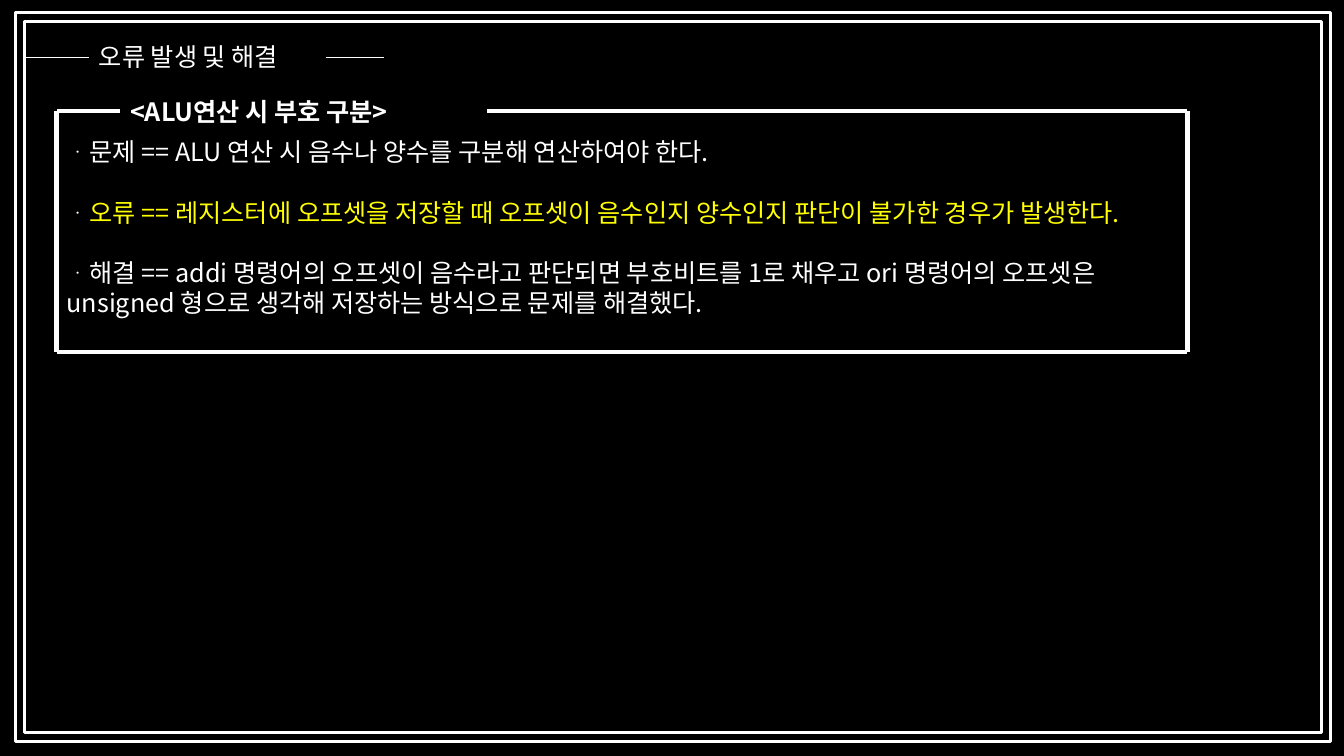
"""Build a dark slide that explains an ALU sign error and its fix."""
from lxml.etree import SubElement
from pptx import Presentation
from pptx.dml.color import RGBColor
from pptx.enum.shapes import MSO_CONNECTOR as Connector, MSO_SHAPE as Shape
from pptx.enum.text import MSO_ANCHOR as Anchor, MSO_AUTO_SIZE as AutoSize, PP_ALIGN as Align
from pptx.oxml.ns import qn
from pptx.util import Pt

BLACK = RGBColor(0x00, 0x00, 0x00)
WHITE = RGBColor(0xFF, 0xFF, 0xFF)
YELLOW = RGBColor(0xFF, 0xFF, 0x00)
FONT = "Noto Sans CJK KR"
LINE_HEIGHT = 21.6

PANEL_LEFT, PANEL_TOP, PANEL_RIGHT, PANEL_BOTTOM = 40.4, 79.3, 848.2, 251.3
HEADING_LEFT, HEADING_RIGHT = 85.8, 348.2
TITLE_LEFT, TITLE_RIGHT, TITLE_MIDDLE = 63.4, 232.6, 41

NOTES = [
    [("ᆞ문제 == ALU 연산 시 음수나 양수를 구분해 연산하여야 한다.", WHITE)],
    [("ᆞ", WHITE),
     ("오류 == 레지스터에 오프셋을 저장할 때 오프셋이 음수인지 양수인지 판단이 불가한 경우가 발생한다.", YELLOW)],
    [("ᆞ해결 == addi 명령어의 오프셋이 음수라고 판단되면 부호비트를 1로 채우고 ori 명령어의 오프셋은 "
      "unsigned 형으로 생각해 저장하는 방식으로 문제를 해결했다.", WHITE)],
]


def add_frame(slide, left, top, width, height):
    """Add an unfilled white border."""
    frame = slide.shapes.add_shape(Shape.RECTANGLE, Pt(left), Pt(top), Pt(width), Pt(height))
    frame.shadow.inherit = False
    frame.fill.background()
    frame.line.color.rgb = WHITE
    frame.line.width = Pt(2.25)


def add_rule(slide, start, end, weight):
    """Add a straight white line between two points."""
    points = [Pt(value) for value in (*start, *end)]
    rule = slide.shapes.add_connector(Connector.STRAIGHT, *points)
    rule.line.color.rgb = WHITE
    rule.line.width = Pt(weight)
    SubElement(rule._element.spPr, qn("a:effectLst"))


def place(box, left, top, width, height):
    """Move and size a box."""
    box.left, box.top, box.width, box.height = Pt(left), Pt(top), Pt(width), Pt(height)


def write(box, paragraphs, *, bold=False, anchor=Anchor.MIDDLE, gap=0):
    """Fill a box with paragraphs, each a list of text and colour pairs."""
    frame = box.text_frame
    frame.word_wrap = True
    frame.auto_size = AutoSize.NONE
    frame.vertical_anchor = anchor
    for index, pieces in enumerate(paragraphs):
        para = frame.add_paragraph() if index else frame.paragraphs[0]
        para.alignment = Align.LEFT
        para.line_spacing = Pt(LINE_HEIGHT)
        para.space_before = Pt(0)
        para.space_after = Pt(gap)
        properties = para._p.get_or_add_pPr()
        properties.set("marL", "0")
        properties.set("indent", "0")
        SubElement(properties, qn("a:buNone"))
        for text, color in pieces:
            span = para.add_run()
            span.text = text
            span.font.name = FONT
            span.font.size = Pt(18)
            span.font.bold = bold
            span.font.color.rgb = color
            SubElement(span._r.rPr, qn("a:ea")).set("typeface", FONT)


def main():
    """Build and save the deck."""
    deck = Presentation()
    deck.slide_width, deck.slide_height = Pt(960), Pt(540)
    slide = deck.slides.add_slide(deck.slide_layouts[1])
    slide.background.fill.solid()
    slide.background.fill.fore_color.rgb = BLACK

    add_frame(slide, 11.2, 8.9, 939, 520.6)
    add_frame(slide, 17.7, 15.1, 926, 508.3)

    title, body = slide.placeholders
    place(title, TITLE_LEFT, 26, TITLE_RIGHT - TITLE_LEFT, 29)
    write(title, [[("오류 발생 및 해결", WHITE)]])
    add_rule(slide, (18, TITLE_MIDDLE), (TITLE_LEFT, TITLE_MIDDLE), 1)
    add_rule(slide, (TITLE_RIGHT, TITLE_MIDDLE), (274.3, TITLE_MIDDLE), 1)

    place(body, PANEL_LEFT, 93.9, PANEL_RIGHT - PANEL_LEFT, 159.6)
    write(body, NOTES, anchor=Anchor.TOP, gap=LINE_HEIGHT)
    heading = slide.shapes.add_textbox(0, 0, 0, 0)
    place(heading, HEADING_LEFT, 64.8, HEADING_RIGHT - HEADING_LEFT, 29.2)
    write(heading, [[("<ALU연산 시 부호 구분>", WHITE)]], bold=True)

    outline = [(HEADING_LEFT, PANEL_TOP), (PANEL_LEFT, PANEL_TOP), (PANEL_LEFT, PANEL_BOTTOM),
               (PANEL_RIGHT, PANEL_BOTTOM), (PANEL_RIGHT, PANEL_TOP), (HEADING_RIGHT, PANEL_TOP)]
    for start, end in zip(outline, outline[1:]):
        add_rule(slide, start, end, 3)

    deck.save("out.pptx")


if __name__ == "__main__":
    main()
